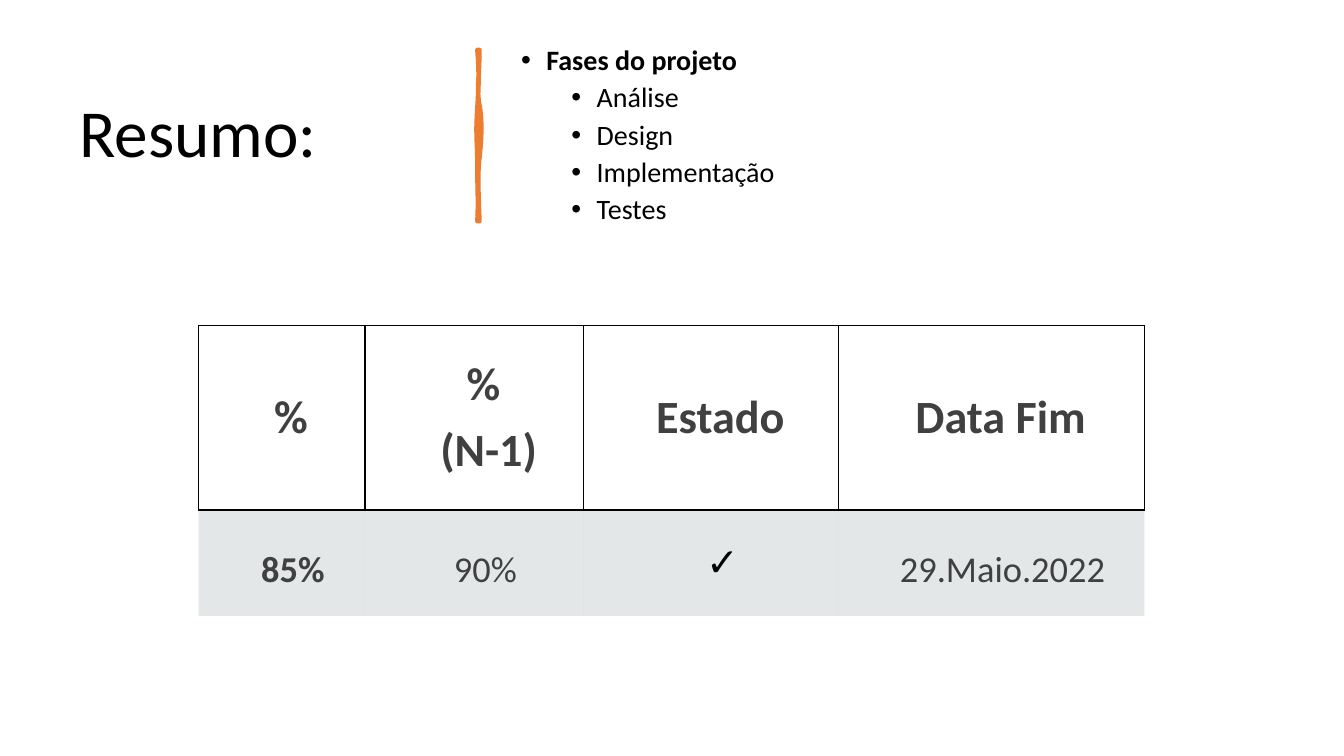
from lxml.etree import SubElement
from pptx import Presentation
from pptx.dml.color import RGBColor
from pptx.enum.text import MSO_ANCHOR, PP_ALIGN
from pptx.oxml.ns import qn
from pptx.util import Inches, Pt

COLORS = {"text": "000000", "table_text": "404040", "accent": "ED7D31", "band": "B4BCBE", "border": "000000"}
FONT = "Calibri"
TITLE = "Resumo:"
PHASES = [
    ("Fases do projeto", 0),
    ("Análise", 1),
    ("Design", 1),
    ("Implementação", 1),
    ("Testes", 1),
]
HEADERS = [["%"], ["%", " (N-1)"], ["Estado"], ["Data Fim"]]
STATUS = [
    ("85%", 26, True, "table_text"),
    ("90%", 26, False, "table_text"),
    ("✓", 28, True, "text"),
    ("29.Maio.2022", 26, False, "table_text"),
]
COLUMN_WIDTHS = [1.65, 2.17, 2.53, 3.03]
ROW_HEIGHTS = [1.83, 1.05]
DIVIDER_CENTER = (4.75, 1.35)
DIVIDER_START = (4.76, 0.5)
DIVIDER_CURVES = [
    ((4.76, 0.77), (4.73, 0.9), (4.76, 1.05)),
    ((4.79, 1.2), (4.78, 1.39), (4.76, 1.57)),
    ((4.74, 1.74), (4.75, 1.89), (4.76, 2.2)),
    ((4.75, 2.2), (4.75, 2.2), (4.74, 2.2)),
    ((4.75, 1.96), (4.74, 1.93), (4.74, 1.67)),
    ((4.74, 1.4), (4.72, 1.36), (4.74, 1.07)),
    ((4.76, 0.77), (4.75, 0.65), (4.74, 0.5)),
    ((4.75, 0.5), (4.75, 0.5), (4.76, 0.5)),
]
CURVE_STEPS = 10


def color(name):
    return RGBColor.from_string(COLORS[name])


def add_run(paragraph, text, size, bold=False, color_name="text"):
    run = paragraph.add_run()
    run.text = text
    run.font.name = FONT
    run.font.size = Pt(size)
    run.font.bold = bold
    run.font.color.rgb = color(color_name)


def add_text_frame(slide, left, top, width, height):
    shape = slide.shapes.add_textbox(Inches(left), Inches(top), Inches(width), Inches(height))
    frame = shape.text_frame
    frame.word_wrap = True
    frame.vertical_anchor = MSO_ANCHOR.MIDDLE
    return frame


def next_paragraph(frame, index):
    return frame.paragraphs[0] if index == 0 else frame.add_paragraph()


def add_bullet(paragraph, level):
    properties = paragraph._p.get_or_add_pPr()
    properties.set("marL", str(Inches(0.25 + 0.5 * level)))
    properties.set("indent", str(Inches(-0.25)))
    SubElement(properties, qn("a:buFont"), typeface="Arial")
    SubElement(properties, qn("a:buChar"), char="•")


def curve_points(start, curves):
    for first, second, end in curves:
        for step in range(1, CURVE_STEPS + 1):
            t = step / CURVE_STEPS
            weights = ((1 - t) ** 3, 3 * t * (1 - t) ** 2, 3 * t ** 2 * (1 - t), t ** 3)
            corners = (start, first, second, end)
            yield tuple(sum(w * corner[axis] for w, corner in zip(weights, corners)) for axis in (0, 1))
        start = end


def lay_flat(point):
    center_x, center_y = DIVIDER_CENTER
    return Inches(center_x + point[1] - center_y), Inches(center_y + center_x - point[0])


def add_divider(slide):
    builder = slide.shapes.build_freeform(*lay_flat(DIVIDER_START))
    points = [lay_flat(point) for point in curve_points(DIVIDER_START, DIVIDER_CURVES)]
    builder.add_line_segments(points, close=True)
    shape = builder.convert_to_shape()
    shape.rotation = 90
    shape.shadow.inherit = False
    shape.fill.solid()
    shape.fill.fore_color.rgb = color("accent")
    shape.line.color.rgb = color("accent")
    shape.line.width = Pt(3.25)


def set_borders(cell, visible):
    properties = cell._tc.get_or_add_tcPr()
    for side in ("lnL", "lnR", "lnT", "lnB"):
        line = SubElement(properties, qn(f"a:{side}"), w=str(Pt(1)))
        if side in visible:
            fill = SubElement(line, qn("a:solidFill"))
            SubElement(fill, qn("a:srgbClr"), val=COLORS["border"])
        else:
            SubElement(line, qn("a:noFill"))


def format_cell(cell, margin, visible):
    cell.vertical_anchor = MSO_ANCHOR.MIDDLE
    cell.margin_left = Inches(0.46)
    cell.margin_right = cell.margin_top = cell.margin_bottom = Inches(margin)
    set_borders(cell, visible)


def add_status_table(slide):
    table = slide.shapes.add_table(
        len(ROW_HEIGHTS), len(COLUMN_WIDTHS), Inches(1.97), Inches(3.23),
        Inches(sum(COLUMN_WIDTHS)), Inches(sum(ROW_HEIGHTS)),
    ).table
    table.first_row = False
    table.horz_banding = False
    for row, height in zip(table.rows, ROW_HEIGHTS):
        row.height = Inches(height)
    for column, width in zip(table.columns, COLUMN_WIDTHS):
        column.width = Inches(width)

    for index, lines in enumerate(HEADERS):
        cell = table.cell(0, index)
        format_cell(cell, 0.28, ("lnL", "lnR", "lnT", "lnB"))
        cell.fill.background()
        for number, line in enumerate(lines):
            paragraph = next_paragraph(cell.text_frame, number)
            paragraph.alignment = PP_ALIGN.CENTER
            paragraph.space_before = Pt(6.6)
            add_run(paragraph, line, 33, True, "table_text")

    for index, (text, size, bold, color_name) in enumerate(STATUS):
        cell = table.cell(1, index)
        format_cell(cell, 0.24, ("lnT",))
        cell.fill.solid()
        cell.fill.fore_color.rgb = color("band")
        band = cell._tc.tcPr.find(qn("a:solidFill")).find(qn("a:srgbClr"))
        SubElement(band, qn("a:alpha"), val="35000")
        paragraph = cell.text_frame.paragraphs[0]
        paragraph.alignment = PP_ALIGN.CENTER
        if color_name == "table_text":
            paragraph.line_spacing = 1.3
        add_run(paragraph, text, size, bold, color_name)


def main():
    presentation = Presentation()
    presentation.slide_width = Inches(13.33)
    presentation.slide_height = Inches(7.5)
    slide = presentation.slides.add_slide(presentation.slide_layouts[6])

    title = add_text_frame(slide, 0.69, 0.55, 3.74, 1.6).paragraphs[0]
    title.line_spacing = 0.9
    add_run(title, TITLE, 48)

    add_divider(slide)

    phases = add_text_frame(slide, 5.07, 0.29, 7.54, 2.12)
    for index, (text, level) in enumerate(PHASES):
        paragraph = next_paragraph(phases, index)
        paragraph.level = level
        paragraph.line_spacing = 0.9
        paragraph.space_before = Pt(5 if level else 10)
        add_bullet(paragraph, level)
        add_run(paragraph, text, 20, level == 0)

    add_status_table(slide)
    presentation.save("out.pptx")


if __name__ == "__main__":
    main()
